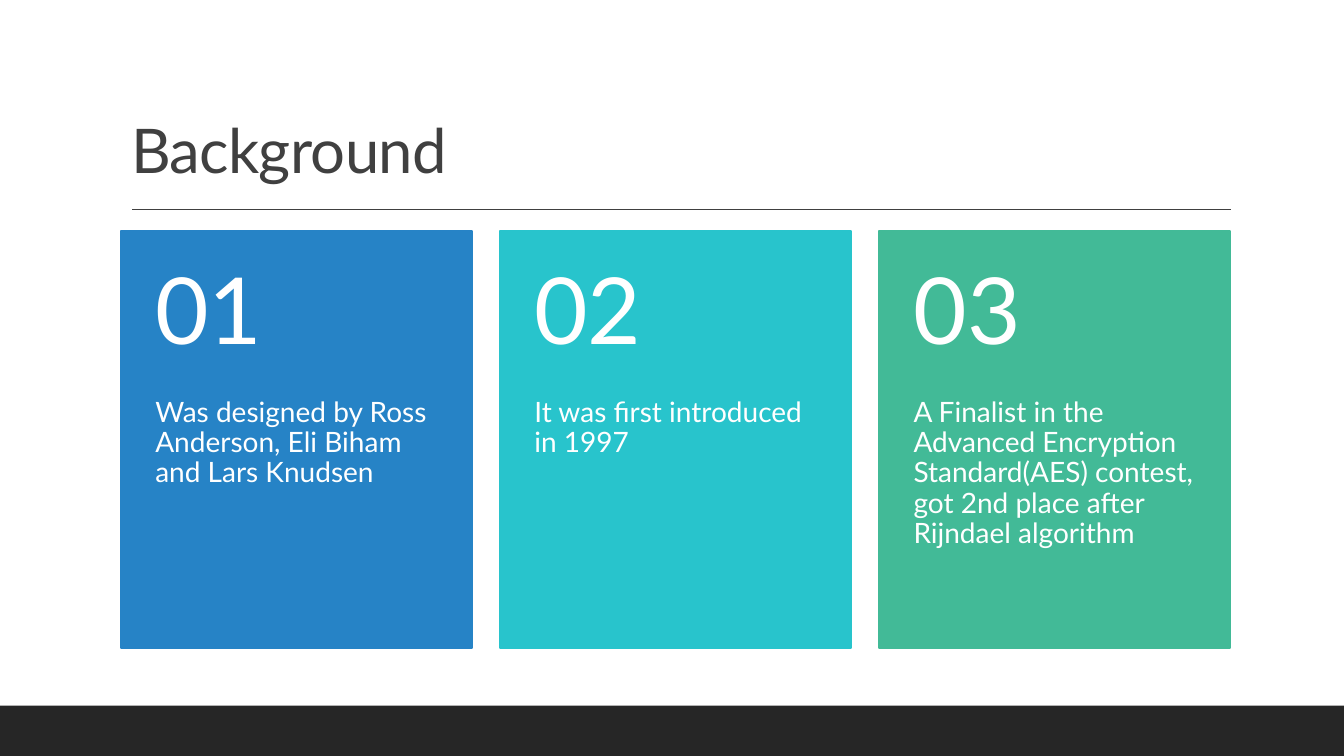
from pptx import Presentation
from pptx.dml.color import RGBColor
from pptx.enum.shapes import MSO_CONNECTOR, MSO_SHAPE
from pptx.enum.text import MSO_ANCHOR, PP_ALIGN
from pptx.oxml.ns import qn
from pptx.util import Inches, Pt
from lxml import etree

FONT = "Lato"
DARK, FOOTER, WHITE = "404040", "262626", "FFFFFF"
CARD_LEFT, CARD_TOP, CARD_STEP = 1.2, 2.29, 3.76
CARD_W, CARD_H, NUMBER_H = 3.48, 4.14, 1.66
CARDS = [
    ("2683C6", "Was designed by Ross Anderson, Eli Biham and Lars Knudsen"),
    ("28C4CC", "It was first introduced in 1997"),
    ("42BA97", "A Finalist in the Advanced Encryption Standard(AES) contest, "
               "got 2nd place after Rijndael algorithm"),
]


def rgb(color):
    return RGBColor.from_string(color)


def write(tf, text, size, color, anchor, margins):
    """Fill a text frame; margins are left, top, right, bottom in inches."""
    tf.text = text
    tf.word_wrap = True
    tf.vertical_anchor = anchor
    (tf.margin_left, tf.margin_top,
     tf.margin_right, tf.margin_bottom) = map(Inches, margins)
    p = tf.paragraphs[0]
    p.alignment = PP_ALIGN.LEFT
    p.line_spacing = 0.9
    r = p.runs[0]
    r.font.name, r.font.size = FONT, Pt(size)
    r.font.color.rgb = rgb(color)
    return r


def add_title(s, text):
    sp = s.shapes.title
    sp.left, sp.top = Inches(1.2), Inches(0.31)
    sp.width, sp.height = Inches(11), Inches(1.59)
    r = write(sp.text_frame, text, 44, DARK, MSO_ANCHOR.BOTTOM,
              (0.1, 0.05, 0.1, 0.05))
    r.font._element.set("spc", "-50")


def add_rule(s, left, right, y):
    line = s.shapes.add_connector(MSO_CONNECTOR.STRAIGHT, Inches(left),
                                  Inches(y), Inches(right), Inches(y))
    line.line.color.rgb = rgb(DARK)
    line.line.width = Pt(1)
    etree.SubElement(line._element.spPr, qn("a:effectLst"))


def add_rect(s, left, top, width, height, color, line_width=None):
    sp = s.shapes.add_shape(MSO_SHAPE.RECTANGLE, Inches(left), Inches(top),
                            Inches(width), Inches(height))
    sp.shadow.inherit = False
    sp.fill.solid()
    sp.fill.fore_color.rgb = rgb(color)
    if line_width:
        sp.line.color.rgb = rgb(color)
        sp.line.width = Pt(line_width)
    else:
        sp.line.fill.background()


def add_text(s, left, top, width, height, *style):
    sp = s.shapes.add_textbox(Inches(left), Inches(top),
                              Inches(width), Inches(height))
    write(sp.text_frame, *style)


def add_card(s, index, color, text):
    left = CARD_LEFT + index * CARD_STEP
    add_rect(s, left, CARD_TOP, CARD_W, CARD_H, color, 1.25)
    add_text(s, left, CARD_TOP + NUMBER_H, CARD_W, CARD_H - NUMBER_H,
             text, 20, WHITE, MSO_ANCHOR.TOP, (0.34, 0, 0.34, 0.36))
    add_text(s, left, CARD_TOP, CARD_W, NUMBER_H, f"{index + 1:02}", 66,
             WHITE, MSO_ANCHOR.MIDDLE, (0.34, 0.18, 0.34, 0.18))


def main():
    prs = Presentation()
    prs.slide_width, prs.slide_height = Inches(13.33), Inches(7.5)
    s = prs.slides.add_slide(prs.slide_layouts[5])
    add_title(s, "Background")
    add_rule(s, 1.31, 12.21, 2.08)
    add_rect(s, 0, 7, 13.33, 0.5, FOOTER)
    for index, (color, text) in enumerate(CARDS):
        add_card(s, index, color, text)
    prs.save("out.pptx")


if __name__ == "__main__":
    main()
